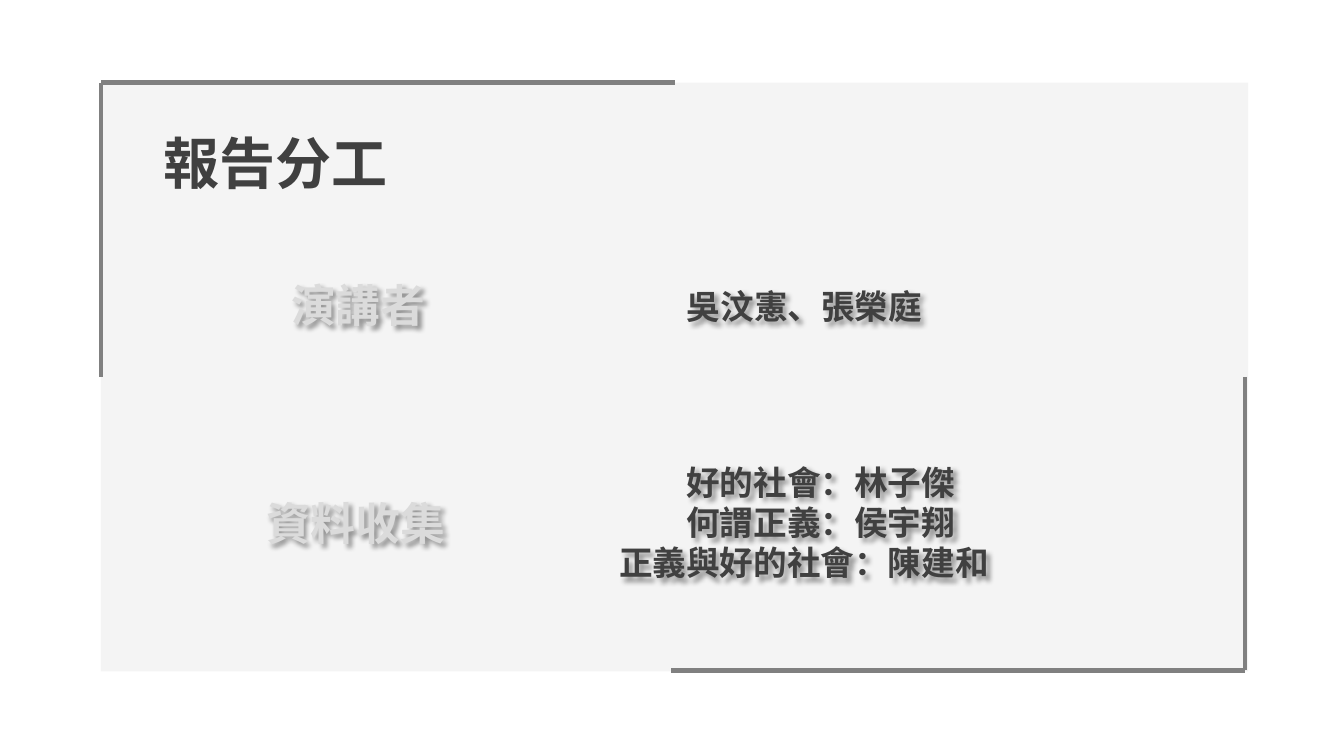
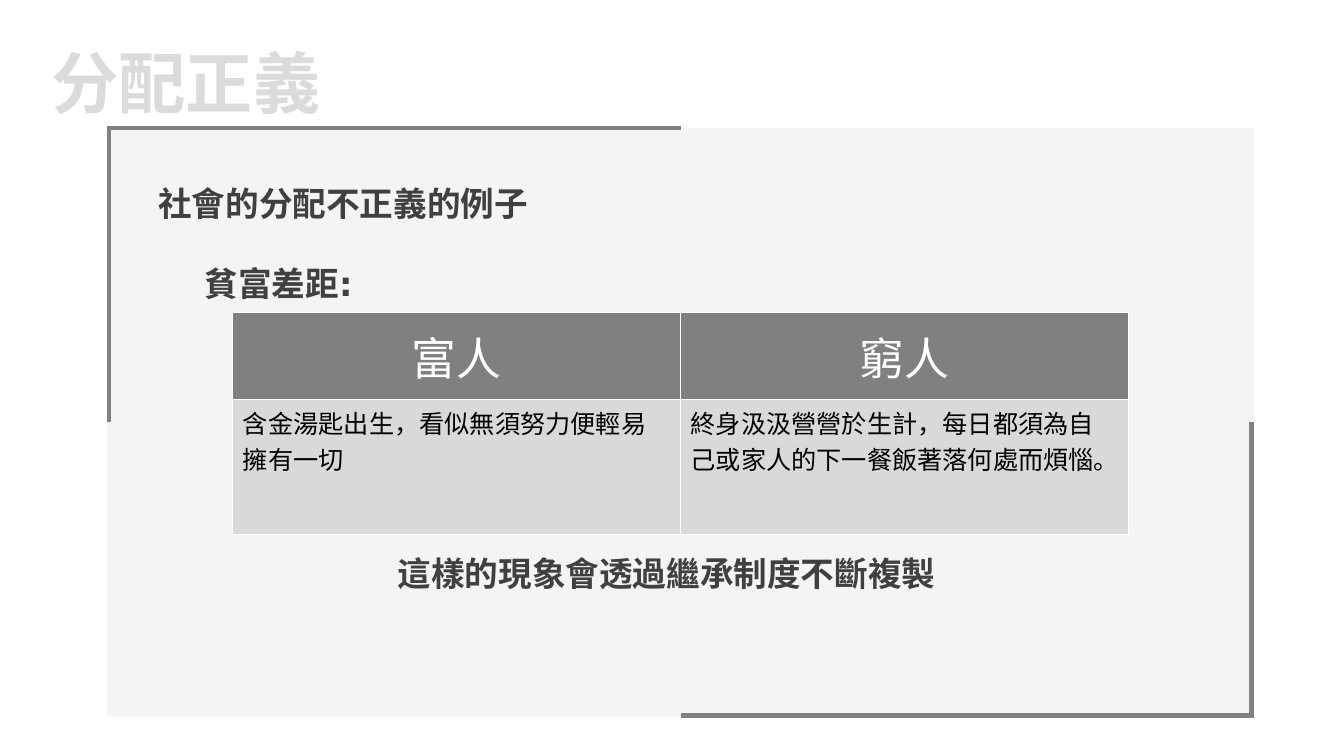
from lxml import etree
from pptx import Presentation
from pptx import util as u
from pptx.dml import color
from pptx.enum import shapes, text
from pptx.oxml import ns

SANS = "DejaVu Sans"
CJK = "Noto Sans CJK TC"
DARK, PALE, GREY = "404040", "DBDBDB", "808080"
PANEL, CELL, WHITE, BLACK = "F2F2F2", "D9D9D9", "FFFFFF", "000000"
WIDE, HIGH = 11.38, 5.84
LEFT, MID = text.PP_ALIGN.LEFT, text.PP_ALIGN.CENTER
TOP = text.MSO_ANCHOR.TOP


def rgb(code):
    return color.RGBColor.from_string(code)


def child(parent, tag, **attrs):
    node = etree.SubElement(parent, ns.qn(tag))
    for name, value in attrs.items():
        node.set(name, str(value))
    return node


def paint(shape, code):
    shape.fill.solid()
    shape.fill.fore_color.rgb = rgb(code)


def line(slide, x1, y1, x2, y2):
    ends = [u.Inches(v) for v in (x1, y1, x2, y2)]
    rule = slide.shapes.add_connector(shapes.MSO_CONNECTOR.STRAIGHT, *ends)
    rule.line.color.rgb = rgb(GREY)
    rule.line.width = u.Pt(3.25)
    child(rule._element.spPr, "a:effectLst")


def frame(slide, left, top, inset, shift):
    spot = [u.Inches(v) for v in (left, top, WIDE, HIGH)]
    panel = slide.shapes.add_shape(shapes.MSO_SHAPE.RECTANGLE, *spot)
    paint(panel, PANEL)
    panel.line.fill.background()
    panel.shadow.inherit = False
    child(panel._element.spPr.find(".//" + ns.qn("a:srgbClr")), "a:alpha", val=79000)
    right, base = left + WIDE, top + HIGH - 0.01
    midx, midy = left + WIDE / 2, top + HIGH / 2
    line(slide, left + inset, midy, left + inset, top)
    line(slide, midx, top, left, top)
    line(slide, right - 0.03, midy, right - 0.03, base)
    line(slide, midx - shift, base, right - shift, base)


def add_run(para, words, size, code, bold=True, face=SANS):
    run = para.add_run()
    run.text = words
    font = run.font
    font.size = u.Pt(size)
    font.bold = bold
    font.name = face
    font.color.rgb = rgb(code)
    child(run._r.get_or_add_rPr(), "a:ea", typeface=face)


def shade(box):
    glow = child(box._element.spPr, "a:effectLst")
    drop = child(glow, "a:outerShdw", blurRad=u.Inches(0.05), dist=u.Inches(0.04),
                 dir=2700000, algn="tl", rotWithShape=0)
    child(child(drop, "a:srgbClr", val=BLACK), "a:alpha", val=40000)


def fill_box(box, spot, lines, size, code, align=LEFT, wrap=True):
    box.left, box.top, box.width, box.height = [u.Inches(v) for v in spot]
    box._element.getparent().append(box._element)
    body = box.text_frame
    body.word_wrap = wrap
    body.auto_size = text.MSO_AUTO_SIZE.NONE
    body.vertical_anchor = TOP
    for i, runs in enumerate(lines):
        para = body.paragraphs[0] if i == 0 else body.add_paragraph()
        props = para._p.get_or_add_pPr()
        props.set("marL", "0")
        props.set("indent", "0")
        child(props, "a:buNone")
        para.alignment = align
        para.space_before = u.Pt(0)
        for words, face in runs:
            add_run(para, words, size, code, face=face)
    return box


def label(slide, spot, runs, size, code, align=MID, wrap=True):
    box = slide.shapes.add_textbox(0, 0, 0, 0)
    return fill_box(box, spot, [runs], size, code, align, wrap)


def add_grid(slide, spot, heights, rows):
    place = [u.Inches(v) for v in spot]
    grid = slide.shapes.add_table(len(rows), len(rows[0]), *place).table
    looks = [(GREY, WHITE, 32, MID, text.MSO_ANCHOR.MIDDLE),
             (CELL, BLACK, 18, LEFT, TOP)]
    for r, (tall, words, look) in enumerate(zip(heights, rows, looks)):
        back, ink, size, align, anchor = look
        grid.rows[r].height = u.Inches(tall)
        for c, word in enumerate(words):
            cell = grid.cell(r, c)
            paint(cell, back)
            cell.vertical_anchor = anchor
            para = cell.text_frame.paragraphs[0]
            para.alignment = align
            add_run(para, word, size, ink, bold=False, face=CJK)


def roles(deck):
    slide = deck.slides.add_slide(deck.slide_layouts[1])
    title, body = slide.placeholders
    frame(slide, 1, 0.82, 0, 0.03)
    fill_box(title, (1.52, 1.22, 4.26, 0.77), [[("報告分工", SANS)]], 40, DARK)
    names = ["好的社會：林子傑", "何謂正義：侯宇翔", "正義與好的社會：陳建和\u3000".replace("\u3000", "　")]
    shade(fill_box(body, (4.27, 4.53, 7.74, 1.31),
                   [[(name, SANS)] for name in names], 24, DARK, MID))
    for spot, word in [((2.78, 2.71, 1.55, 0.64), "演講者"),
                       ((2.53, 4.87, 2, 0.64), "資料收集")]:
        shade(label(slide, spot, [(word, SANS)], 32, PALE, wrap=False))
    talk = [("吳汶憲", SANS), ("、", CJK), ("張榮庭", SANS)]
    shade(label(slide, (3.95, 2.79, 8.06, 0.5), talk, 24, DARK))


def justice(deck):
    slide = deck.slides.add_slide(deck.slide_layouts[1])
    title, body = slide.placeholders
    frame(slide, 1.06, 1.27, 0.02, 0)
    fill_box(body, (1.47, 1.76, 10.58, 1.72),
             [[("社會的分配不正義的例子", SANS)], [("貧富差距:", SANS)]], 24, DARK)
    gap = body.text_frame.paragraphs[1]
    gap.space_before = u.Pt(28.8)
    gap._p.pPr.set("marL", str(u.Inches(0.46)))
    fill_box(title, (0.41, 0.36, 2.89, 0.91), [[("分配正義", SANS)]], 48, PALE, wrap=False)
    add_grid(slide, (2.31, 3.1, 8.88, 2.2), (0.86, 1.34), [
        ["富人", "窮人"],
        ["含金湯匙出生，看似無須努力便輕易擁有一切",
         "終身汲汲營營於生計，每日都須為自己或家人的下一餐飯著落何處而煩惱。"]])
    label(slide, (1.32, 5.44, 10.58, 0.5),
          [("這樣的現象會透過繼承制度不斷複製", SANS)], 24, DARK)


def main():
    deck = Presentation()
    deck.slide_width, deck.slide_height = u.Inches(13.33), u.Inches(7.5)
    roles(deck)
    justice(deck)
    deck.save("out.pptx")


if __name__ == "__main__":
    main()
